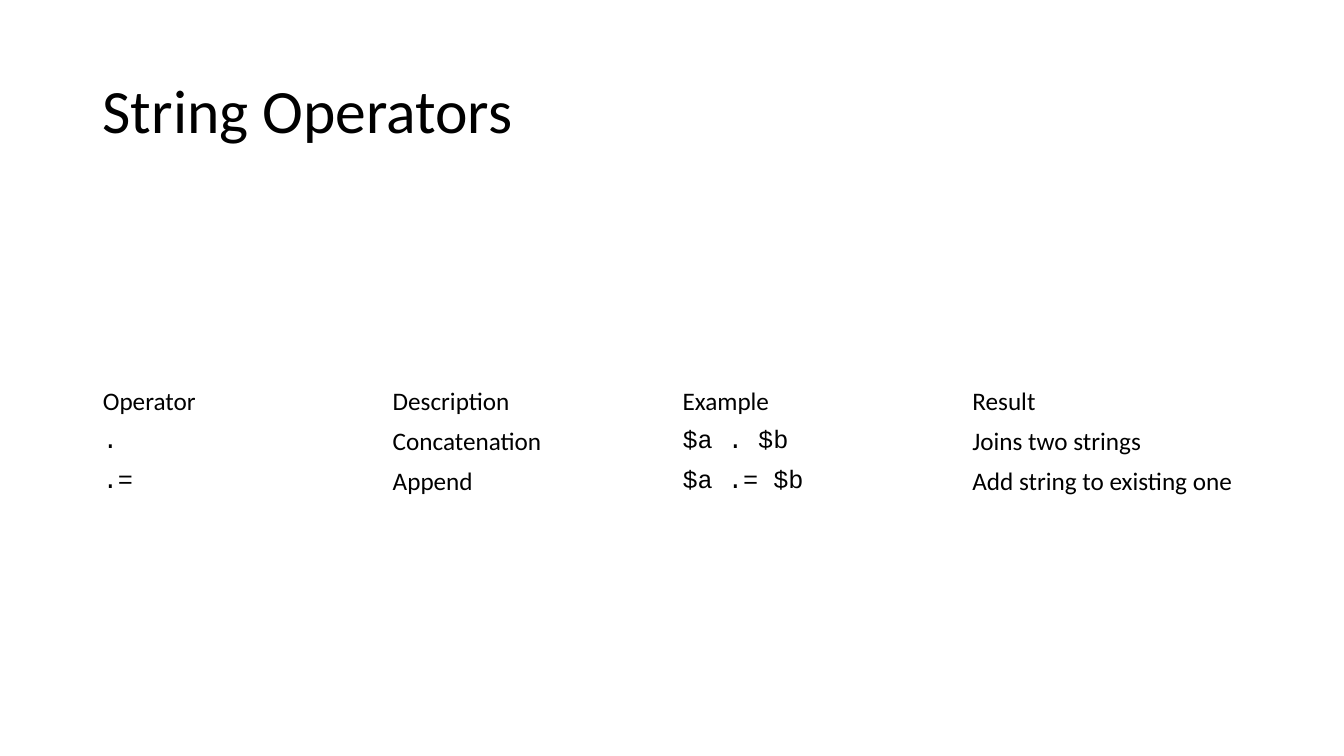
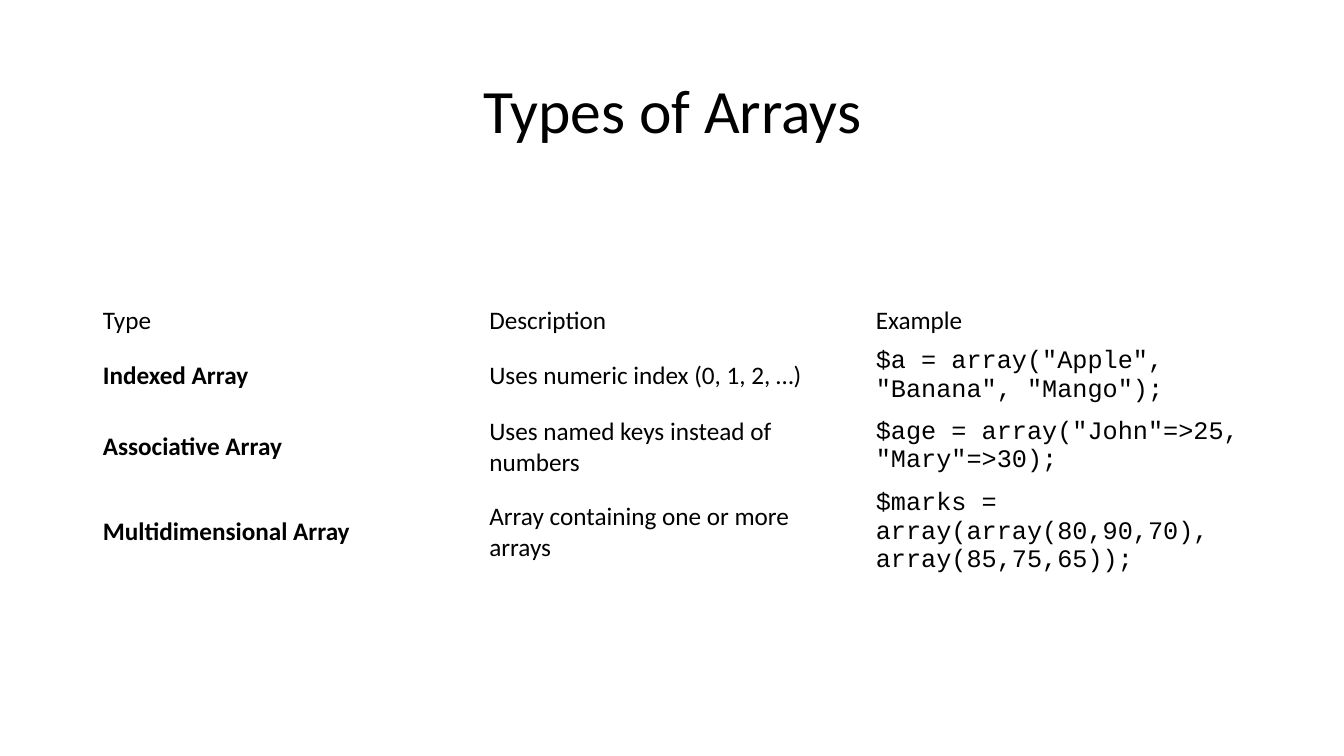
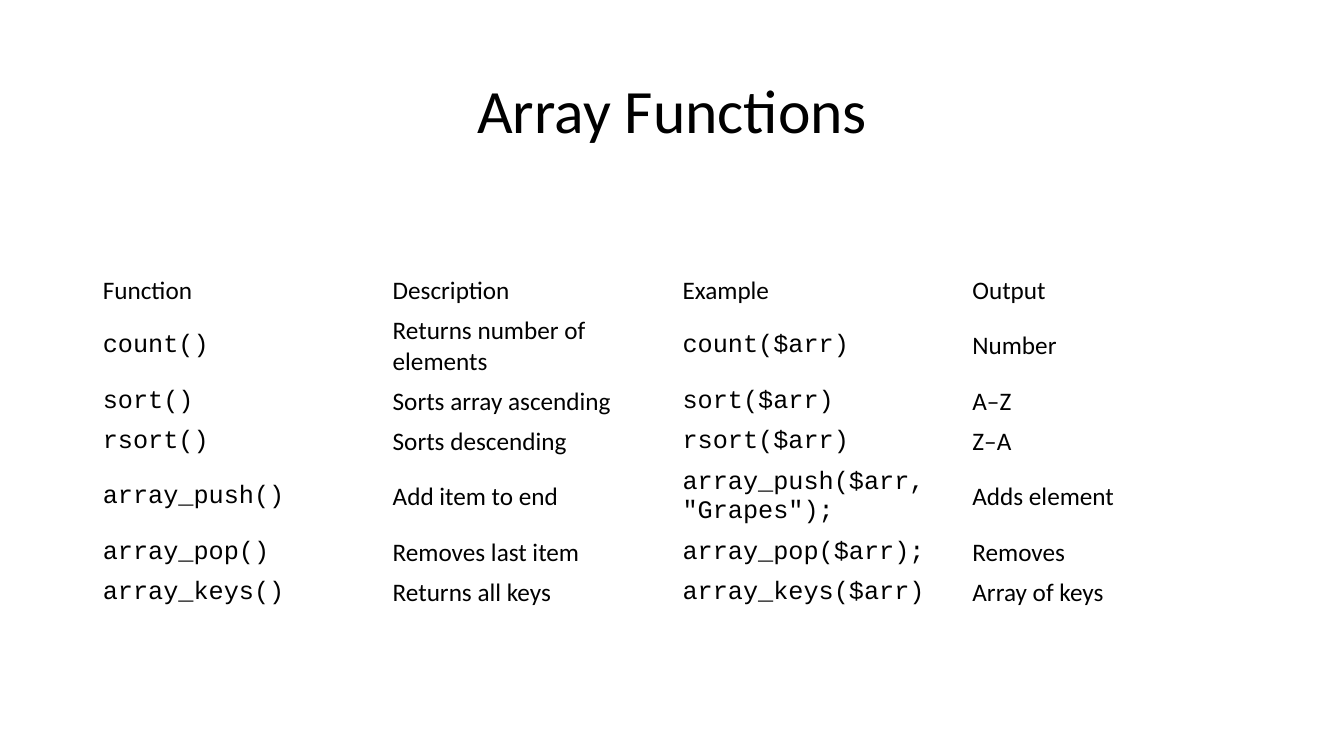
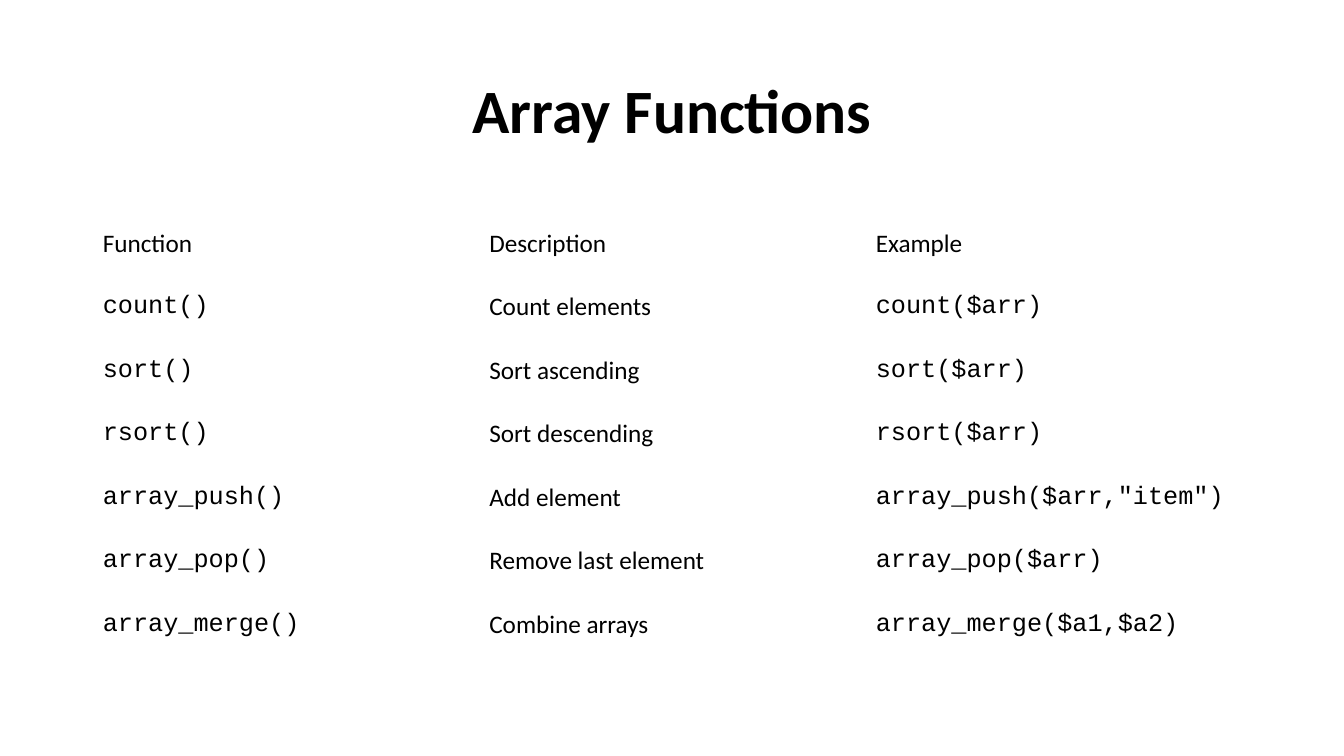
import pptx
import pptx.dml.color
import pptx.enum.text
import pptx.util

ALIGN = pptx.enum.text.PP_ALIGN
MIDDLE = pptx.enum.text.MSO_ANCHOR.MIDDLE


def color(code):
    return pptx.dml.color.RGBColor.from_string(code)


class Deck:
    WIDE, HIGH = 13.33, 7.5
    COLS, ROWS = 12, 75
    EDGE = 0.92
    SPAN = 11.5
    INK, PAPER = "000000", "FFFFFF"
    SANS, MONO = "Calibri", "Courier New"

    def __init__(self):
        self.show = pptx.Presentation()
        self.show.slide_width = pptx.util.Inches(self.WIDE)
        self.show.slide_height = pptx.util.Inches(self.HIGH)
        self.slide = None

    def cols(self, count):
        return pptx.util.Inches(self.SPAN * count / self.COLS)

    def rows(self, count):
        return pptx.util.Inches(self.HIGH * count / self.ROWS)

    def page(self):
        self.slide = self.show.slides.add_slide(self.show.slide_layouts[6])
        fill = self.slide.background.fill
        fill.solid()
        fill.fore_color.rgb = color(self.PAPER)

    def style(self, frame, size, face, bold):
        for para in frame.paragraphs:
            for run in para.runs:
                run.font.size = pptx.util.Pt(size)
                run.font.name = face
                run.font.bold = bold
                run.font.color.rgb = color(self.INK)

    def title(self, text, align=ALIGN.CENTER, bold=False):
        box = self.slide.shapes.add_textbox(
            pptx.util.Inches(self.EDGE), self.rows(4),
            self.cols(self.COLS), self.rows(14.5))
        frame = box.text_frame
        frame.word_wrap = True
        frame.vertical_anchor = MIDDLE
        frame.text = text
        frame.paragraphs[0].alignment = align
        frame.paragraphs[0].line_spacing = 0.9
        self.style(frame, 44, self.SANS, bold)

    def table(self, top, data, code, bold=(), row=4):
        count = len(data[0])
        grid = self.slide.shapes.add_table(
            len(data), count, pptx.util.Inches(self.EDGE), self.rows(top),
            self.cols(self.COLS), self.rows(row * len(data))).table
        grid.first_row = False
        grid.horz_banding = False
        for col in grid.columns:
            col.width = self.cols(self.COLS / count)
        for line, texts in enumerate(data):
            grid.rows[line].height = self.rows(row)
            for col, text in enumerate(texts):
                cell = grid.cell(line, col)
                cell.fill.background()
                cell.vertical_anchor = MIDDLE
                cell.text_frame.text = text
                body = line > 0
                face = self.MONO if body and col in code else self.SANS
                self.style(cell.text_frame, 18, face, body and col in bold)


def main():
    deck = Deck()

    deck.page()
    deck.title("String Operators", ALIGN.LEFT)
    deck.table(37.8, [
        ("Operator", "Description", "Example", "Result"),
        (".", "Concatenation", "$a . $b", "Joins two strings"),
        (".=", "Append", "$a .= $b", "Add string to existing one"),
    ], code=(0, 2))

    deck.page()
    deck.title("Types of Arrays")
    deck.table(29.8, [
        ("Type", "Description", "Example"),
        ("Indexed Array", "Uses numeric index (0, 1, 2, …)",
         '$a = array("Apple", "Banana", "Mango");'),
        ("Associative Array", "Uses named keys instead of numbers",
         '$age = array("John"=>25, "Mary"=>30);'),
        ("Multidimensional Array", "Array containing one or more arrays",
         "$marks = array(array(80,90,70), array(85,75,65));"),
    ], code=(2,), bold=(0,))

    deck.page()
    deck.title("Array Functions")
    deck.table(26.8, [
        ("Function", "Description", "Example", "Output"),
        ("count()", "Returns number of elements", "count($arr)", "Number"),
        ("sort()", "Sorts array ascending", "sort($arr)", "A–Z"),
        ("rsort()", "Sorts descending", "rsort($arr)", "Z–A"),
        ("array_push()", "Add item to end", 'array_push($arr, "Grapes");',
         "Adds element"),
        ("array_pop()", "Removes last item", "array_pop($arr);", "Removes"),
        ("array_keys()", "Returns all keys", "array_keys($arr)",
         "Array of keys"),
    ], code=(0, 2))

    deck.page()
    deck.title("Array Functions", bold=True)
    deck.table(21, [
        ("Function", "Description", "Example"),
        ("count()", "Count elements", "count($arr)"),
        ("sort()", "Sort ascending", "sort($arr)"),
        ("rsort()", "Sort descending", "rsort($arr)"),
        ("array_push()", "Add element", 'array_push($arr,"item")'),
        ("array_pop()", "Remove last element", "array_pop($arr)"),
        ("array_merge()", "Combine arrays", "array_merge($a1,$a2)"),
    ], code=(0, 2), row=6.3)

    deck.show.save("out.pptx")


if __name__ == "__main__":
    main()
